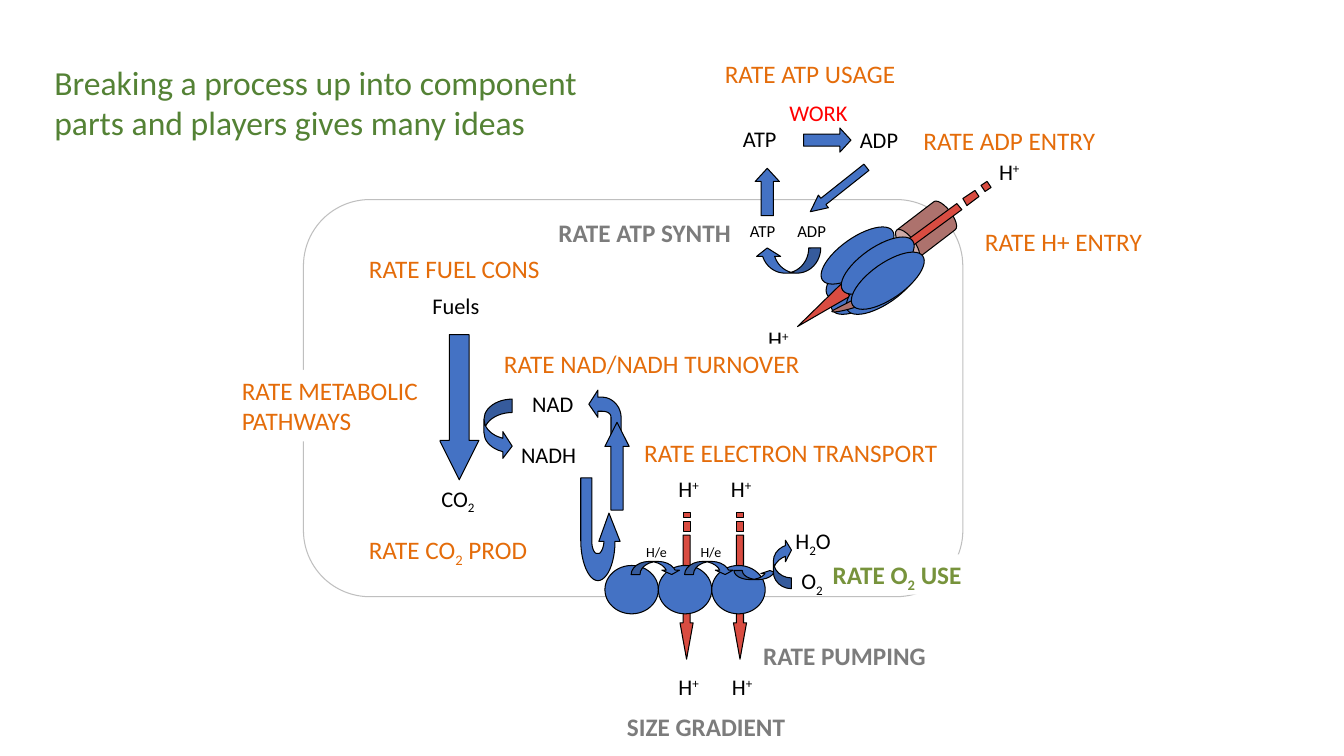
"""Build a slide that maps the measurable rates of cellular respiration."""
import dataclasses

import pptx
import pptx.dml.color
import pptx.enum.shapes
import pptx.util

Inches = pptx.util.Inches
Pt = pptx.util.Pt
Kind = pptx.enum.shapes.MSO_SHAPE
Color = pptx.dml.color.RGBColor.from_string


@dataclasses.dataclass(frozen=True)
class Theme:
    font: str = "Calibri"
    blue: str = "4472C4"
    red: str = "D94C41"
    rose: str = "AD726D"
    black: str = "000000"
    white: str = "FFFFFF"
    membrane: str = "BFBFBF"
    work: str = "FF0000"
    orange: str = "E46C0A"
    grey: str = "7C7C7C"
    olive: str = "77933C"
    green: str = "548235"
    tiny: int = 10
    small: int = 12
    body: int = 16
    label: int = 18
    title: int = 24
    outline: float = 0.75


theme = Theme()
presentation = pptx.Presentation()
presentation.slide_width = Inches(13.33)
presentation.slide_height = Inches(7.5)
slide = presentation.slides.add_slide(presentation.slide_layouts[6])


def add_part(kind, box, adjustments=(), rotation=0, fill=theme.blue):
    """Draw a filled preset shape."""
    shape = slide.shapes.add_shape(kind, *map(Inches, box))
    for index, value in enumerate(adjustments):
        shape.adjustments[index] = value
    shape.rotation = rotation
    shape.fill.solid()
    shape.fill.fore_color.rgb = Color(fill)
    return shape


def add_outline(contours, fill):
    """Draw closed contours, where a six-number step is a Bezier curve."""
    builder = None
    for start, *steps in contours:
        points = [start]
        for step in steps:
            if len(step) == 2:
                points.append(step)
                continue
            corners = [points[-1], step[:2], step[2:4], step[4:]]
            for part in range(1, 13):
                t = part / 12
                weights = ((1 - t) ** 3, 3 * t * (1 - t) ** 2, 3 * t * t * (1 - t), t ** 3)
                points.append(tuple(sum(w * corner[axis] for w, corner in zip(weights, corners))
                                    for axis in (0, 1)))
        scaled = [(Inches(x), Inches(y)) for x, y in points]
        if builder is None:
            builder = slide.shapes.build_freeform(*scaled[0])
        else:
            builder.move_to(*scaled[0])
        builder.add_line_segments(scaled[1:], close=True)
    shape = builder.convert_to_shape()
    shape.fill.solid()
    shape.fill.fore_color.rgb = Color(fill)


membrane = add_part(Kind.ROUNDED_RECTANGLE, (3.01, 1.98, 6.54, 3.94), [0.167])
membrane.fill.background()

complex_pitch = 0.53
for center in (6.81, 6.81 + complex_pitch):
    inner, outer = 0.035, 0.065
    arrow = [(center + outer, 6.18), (center + inner, 6.18), (center + inner, 5.31),
             (center - inner, 5.31), (center - inner, 6.18), (center - outer, 6.18), (center, 6.54)]
    dashes = [[(center + inner, top), (center - inner, top), (center - inner, bottom),
               (center + inner, bottom)] for top, bottom in ((5.17, 5.27), (5.08, 5.13))]
    add_outline([arrow, *dashes], theme.red)

for index in range(3):
    add_part(Kind.OVAL, (6 + index * complex_pitch, 5.61, 0.53, 0.48))
for index in range(2):
    add_part(Kind.CURVED_DOWN_ARROW, (6.26 + index * complex_pitch, 5.57, 0.49, 0.13),
             [0.676, 1.351, 0.333])

add_part(Kind.CURVED_UP_ARROW, (7.28, 5.66, 0.44, 0.09), [0.913, 1.826, 0.333])
add_part(Kind.CURVED_LEFT_ARROW, (7.67, 5.35, 0.18, 0.49), [0.593, 1.186, 0.333], 180)
add_part(Kind.DOWN_ARROW, (4.36, 3.32, 0.39, 1.44), [0.5, 1.003])
add_part(Kind.CURVED_RIGHT_ARROW, (4.8, 3.96, 0.28, 0.6), [0.476, 0.952, 0.333])

synthase_tilt = 54.8
for left, top in ((8.38, 2.26), (8.43, 2.41)):
    add_part(Kind.OVAL, (left, top, 0.35, 0.85), rotation=synthase_tilt)
add_part(Kind.CAN, (9.01, 1.98, 0.35, 0.6), [0.392], 232.6, theme.rose)
add_outline([
    [(8.43, 2.94), (8.41, 2.91), (9.54, 2.08), (9.49, 2.02), (8.36, 2.85), (8.34, 2.82), (7.91, 3.24)],
    [(9.71, 1.95), (9.67, 1.89), (9.55, 1.97), (9.59, 2.04)],
    [(9.83, 1.86), (9.79, 1.8), (9.73, 1.84), (9.77, 1.9)],
], theme.red)
for left, top in ((8.33, 2.11), (8.58, 2.41)):
    add_part(Kind.OVAL, (left, top, 0.35, 0.85), rotation=synthase_tilt)
add_outline([[(8.25, 3.09), (8.24, 3.08, 8.6, 2.92, 8.74, 2.81), (8.87, 2.69, 9.05, 2.39, 9.06, 2.41),
              (9.07, 2.43, 8.93, 2.79, 8.79, 2.9), (8.66, 3.02, 8.26, 3.12, 8.25, 3.09)]], theme.rose)
for left, top in ((8.53, 2.21), (8.63, 2.36)):
    add_part(Kind.OVAL, (left, top, 0.35, 0.85), rotation=synthase_tilt)

add_part(Kind.CURVED_DOWN_ARROW, (7.49, 2.46, 0.65, 0.25), [0.477, 0.953, 0.333], 180)
add_outline([[(6.04, 5.09), (6.15, 5.37), (6.1, 5.37), (6.1, 5.59, 6.02, 5.76, 5.93, 5.76),
              (5.84, 5.76, 5.76, 5.58, 5.76, 5.36), (5.76, 4.74), (5.87, 4.74), (5.87, 5.37),
              (5.87, 5.43, 5.89, 5.49, 5.92, 5.49), (5.94, 5.49),
              (5.96, 5.49, 5.99, 5.43, 5.99, 5.37), (5.94, 5.37)]], theme.blue)
add_outline([[(5.84, 4.01), (5.93, 3.87), (5.93, 3.94), (5.97, 3.94),
              (6.07, 3.94, 6.16, 4.03, 6.16, 4.14), (6.16, 4.35), (6.06, 4.35), (6.06, 4.14),
              (6.06, 4.1, 6.02, 4.08, 5.97, 4.08), (5.93, 4.08), (5.93, 4.14)]], theme.blue)
add_part(Kind.UP_ARROW, (6, 4.19, 0.24, 0.87), [0.5, 0.993])
add_part(Kind.UP_ARROW, (7.49, 1.67, 0.24, 0.47), [0.5, 0.545])
add_part(Kind.RIGHT_ARROW, (7.97, 1.27, 0.47, 0.24), [0.5, 0.458])
add_part(Kind.RIGHT_ARROW, (7.96, 1.8, 0.71, 0.16), [0.5, 1.03], 141.6)

for shape in slide.shapes:
    shape.shadow.inherit = False
    shape.line.color.rgb = Color(theme.black)
    shape.line.width = Pt(theme.outline)
membrane.line.color.rgb = Color(theme.membrane)

molecules = [
    ("O|_2", 7.85, 5.58, 0.46), ("H|_2|O", 7.79, 5.18, 0.57),
    ("H|^+", 7.15, 4.66, 0.42), ("H|^+", 6.63, 4.66, 0.42),
    ("H|^+", 6.63, 6.63, 0.42), ("H|^+", 7.16, 6.63, 0.42),
    ("NADH", 5.07, 4.33, 0.9), ("NAD", 5.18, 3.82, 1.08),
    ("Fuels", 4.19, 2.85, 0.77), ("CO|_2", 4.28, 4.76, 0.55),
    ("H|^+", 9.81, 1.52, 0.42), ("H|^+", 7.52, 3.18, 0.42),
    ("ATP", 7.27, 1.19, 0.7), ("ADP", 8.43, 1.2, 0.84),
]
small_molecules = [("ATP", 7.34, 2.14, 0.7), ("ADP", 7.81, 2.14, 0.84)]
electron_carriers = [("H/e", 6.31, 5.34, 0.41), ("H/e", 6.85, 5.34, 0.41)]
grey_rates = [("RATE ATP SYNTH", 5.44, 2.11, 1.97), ("RATE PUMPING", 7.47, 6.3, 1.85),
              ("SIZE GRADIENT", 6.12, 7.01, 1.79)]
orange_rates = [
    ("RATE CO|_2| PROD", 3.56, 5.25, 1.84), ("RATE FUEL CONS", 3.56, 2.46, 1.91),
    ("RATE NAD/NADH TURNOVER", 4.9, 3.41, 3.16), ("RATE ELECTRON TRANSPORT", 6.29, 4.29, 3.15),
    ("RATE H+ ENTRY", 9.67, 2.2, 1.77), ("RATE ATP USAGE", 7.09, 0.53, 1.91),
    ("RATE ADP ENTRY", 9.06, 1.19, 1.93),
]
title = "Breaking a process up into component parts and players gives many ideas"
text_groups = [
    (molecules, 0.37, theme.body, theme.black, False, False, False),
    (small_molecules, 0.3, theme.small, theme.black, False, False, False),
    (electron_carriers, 0.27, theme.tiny, theme.black, False, False, False),
    ([("WORK", 7.73, 0.93, 1.1)], 0.37, theme.body, theme.work, False, False, False),
    (grey_rates, 0.4, theme.label, theme.grey, True, True, False),
    ([("RATE O|_2| USE", 8.16, 5.5, 1.52)], 0.4, theme.label, theme.olive, True, True, False),
    ([("RATE METABOLIC PATHWAYS", 2.3, 3.67, 2.06)], 0.71, theme.label, theme.orange, False, True, True),
    (orange_rates, 0.4, theme.label, theme.orange, False, True, False),
    ([(title, 0.44, 0.56, 6.08)], 0.91, theme.title, theme.green, False, False, True),
]
baselines = {"_": "-25000", "^": "30000"}
for entries, height, size, color, bold, masked, wrapped in text_groups:
    for text, left, top, width in entries:
        box = slide.shapes.add_textbox(*map(Inches, (left, top, width, height)))
        box.text_frame.word_wrap = wrapped
        if masked:
            box.fill.solid()
            box.fill.fore_color.rgb = Color(theme.white)
        paragraph = box.text_frame.paragraphs[0]
        paragraph.font.name = theme.font
        paragraph.font.size = Pt(size)
        paragraph.font.bold = bold
        paragraph.font.color.rgb = Color(color)
        for piece in text.split("|"):
            run = paragraph.add_run()
            run.text = piece.lstrip("_^")
            if piece[0] in baselines:
                run._r.get_or_add_rPr().set("baseline", baselines[piece[0]])

presentation.save("out.pptx")
